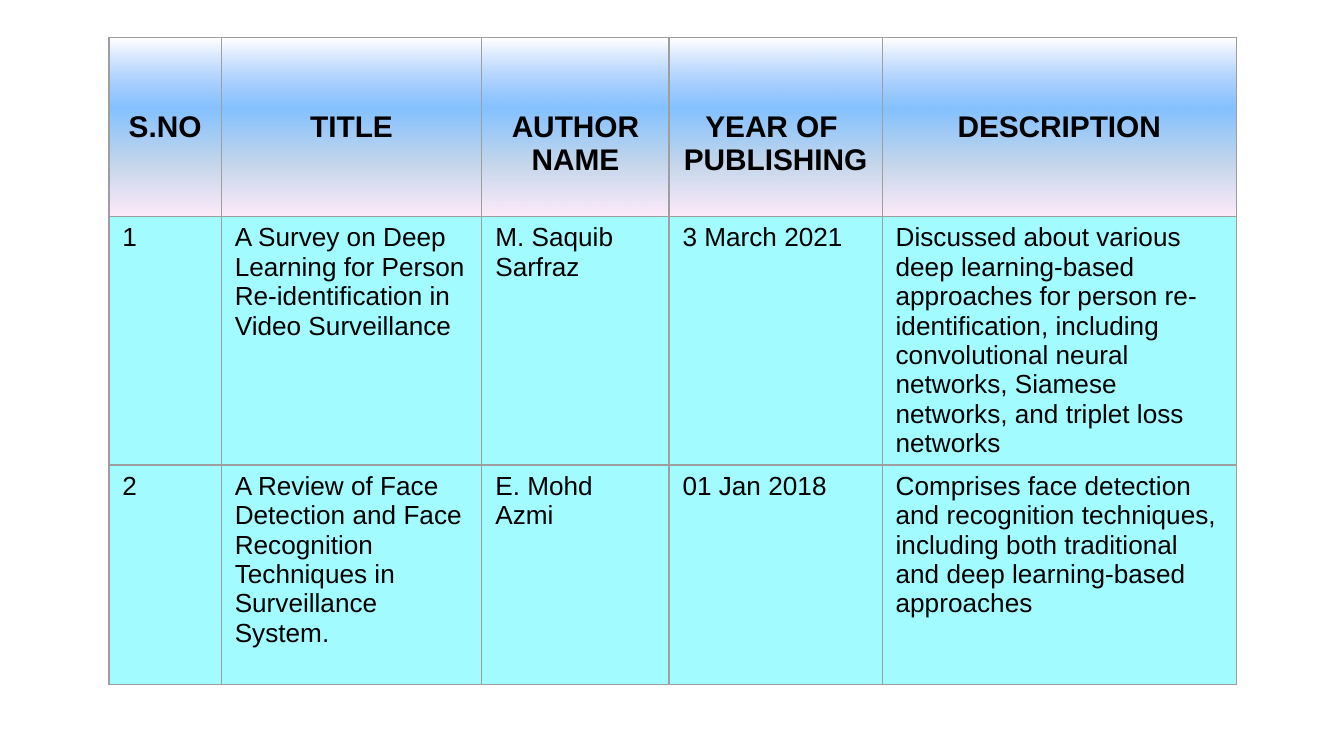
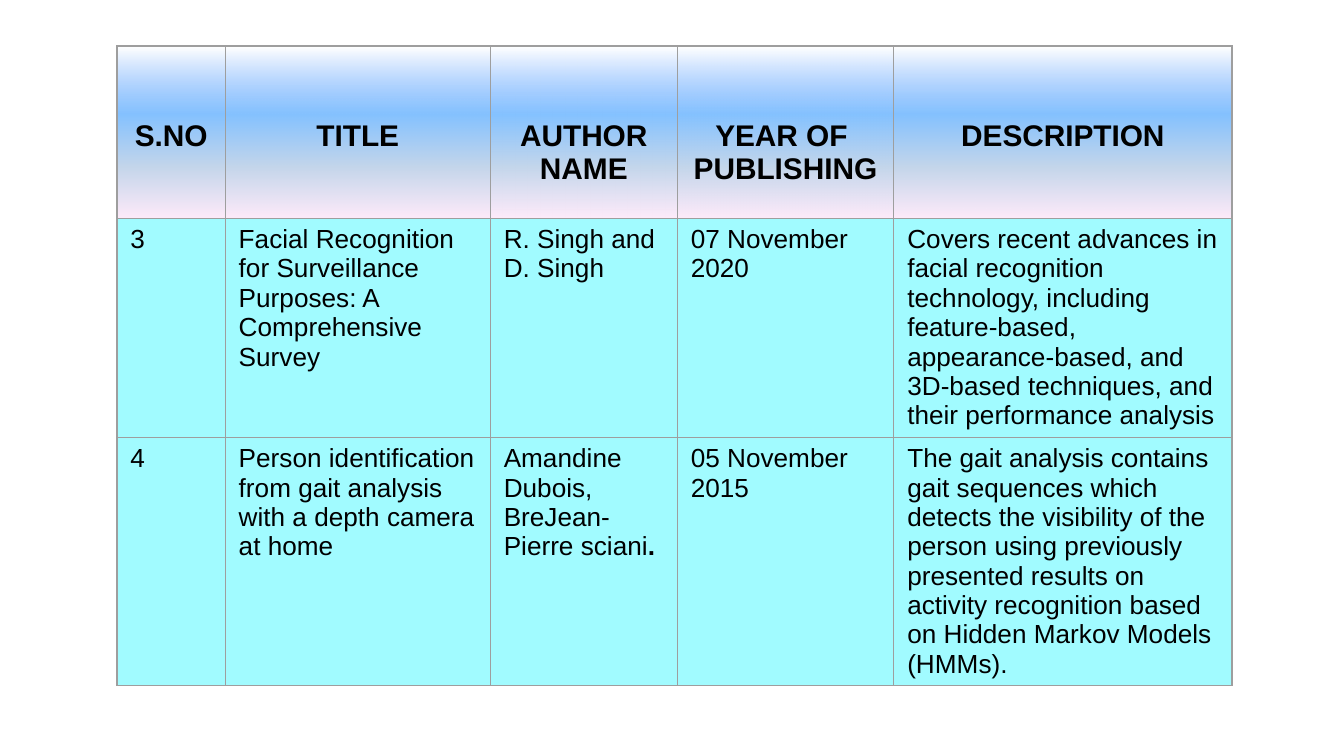
from dataclasses import dataclass

from lxml.etree import SubElement
from pptx import Presentation
from pptx.dml.color import RGBColor
from pptx.enum.text import MSO_ANCHOR, PP_ALIGN
from pptx.oxml.ns import qn
from pptx.util import Pt

COLORS = {
    "text": "000000",
    "border": "9E9E9E",
    "body": "4CF8FF",
    "sky": "5E9EFF",
    "blue": "85C2FF",
    "mist": "C4D6EB",
    "pink": "FFEBFA",
}
FONT = "Arial"
HEADER_STOPS = ((1, "sky", 0), (40, "blue", 100), (70, "mist", 100), (100, "pink", 100))
BODY_ALPHA = 52
BORDER_WIDTH = 0.75


@dataclass(frozen=True)
class Run:
    text: str
    bold: bool = False


@dataclass(frozen=True)
class CellStyle:
    size: float
    bold: bool
    align: PP_ALIGN
    margin_top: float
    header: bool


@dataclass(frozen=True)
class PaperTable:
    left: float
    top: float
    cols: tuple
    rows: tuple
    papers: tuple


HEADER = CellStyle(16, True, PP_ALIGN.CENTER, 39.35, True)
BODY = CellStyle(14, False, PP_ALIGN.LEFT, 3.6, False)
HEADINGS = ("S.NO", "TITLE", "AUTHOR NAME", ("YEAR OF ", "PUBLISHING"), "DESCRIPTION")

TABLES = (
    PaperTable(58.4, 20, (60.2, 139.6, 100.3, 114.2, 189.8), (96, 133, 117.6), (
        ("1",
         "A Survey on Deep Learning for Person Re-identification in Video Surveillance",
         "M. Saquib Sarfraz",
         "3 March 2021",
         "Discussed about various deep learning-based approaches for person "
         "re-identification, including convolutional neural networks, Siamese "
         "networks, and triplet loss networks"),
        ("2",
         "A Review of Face Detection and Face Recognition Techniques in "
         "Surveillance System.",
         "E. Mohd Azmi",
         "01 Jan 2018",
         "Comprises face detection and recognition techniques, including both "
         "traditional and deep learning-based approaches"),
    )),
    PaperTable(62.7, 24.7, (58, 142, 100.2, 116, 181.2), (92.2, 117.4, 133), (
        ("3",
         "Facial Recognition for Surveillance Purposes: A Comprehensive Survey",
         "R. Singh and D. Singh",
         "07 November 2020",
         "Covers recent advances in facial recognition technology, including "
         "feature-based, appearance-based, and 3D-based techniques, and their "
         "performance analysis"),
        ("4",
         "Person identification from gait analysis with a depth camera at home",
         ("Amandine Dubois,", (Run("BreJean-Pierre sciani"), Run(".", True))),
         "05 November 2015",
         "The gait analysis contains gait sequences which detects the visibility "
         "of the person using previously presented results on activity "
         "recognition based on Hidden Markov Models (HMMs)."),
    )),
)


def add_color(parent, name: str, alpha: int = 100) -> None:
    clr = SubElement(parent, qn("a:srgbClr"), val=COLORS[name])
    if alpha < 100:
        SubElement(clr, qn("a:alpha"), val=str(alpha * 1000))


def add_borders(tc_pr) -> None:
    for side in ("lnL", "lnR", "lnT", "lnB"):
        ln = SubElement(tc_pr, qn(f"a:{side}"), w=str(Pt(BORDER_WIDTH)))
        add_color(SubElement(ln, qn("a:solidFill")), "border")


def add_fill(tc_pr, header: bool) -> None:
    if not header:
        add_color(SubElement(tc_pr, qn("a:solidFill")), "body", BODY_ALPHA)
        return
    grad = SubElement(tc_pr, qn("a:gradFill"), rotWithShape="1")
    stops = SubElement(grad, qn("a:gsLst"))
    for pos, name, alpha in HEADER_STOPS:
        add_color(SubElement(stops, qn("a:gs"), pos=str(pos * 1000)), name, alpha)
    SubElement(grad, qn("a:lin"), ang="5400000", scaled="0")


def write_cell(cell, content, style: CellStyle) -> None:
    layout = {
        "margin_left": Pt(7.2),
        "margin_right": Pt(7.2),
        "margin_top": Pt(style.margin_top),
        "margin_bottom": Pt(3.6),
        "vertical_anchor": MSO_ANCHOR.TOP,
    }
    for name, value in layout.items():
        setattr(cell, name, value)
    tf = cell.text_frame
    paragraphs = (content,) if isinstance(content, str) else content
    for i, line in enumerate(paragraphs):
        p = tf.add_paragraph() if i else tf.paragraphs[0]
        p.alignment = style.align
        for run in (Run(line),) if isinstance(line, str) else line:
            r = p.add_run()
            r.text = run.text
            font = {"name": FONT, "size": Pt(style.size), "bold": style.bold or run.bold}
            for name, value in font.items():
                setattr(r.font, name, value)
            r.font.color.rgb = RGBColor.from_string(COLORS["text"])
    tc_pr = cell._tc.get_or_add_tcPr()
    add_borders(tc_pr)
    add_fill(tc_pr, style.header)


def add_paper_table(s, spec_table: PaperTable) -> None:
    t = spec_table
    table = s.shapes.add_table(
        len(t.rows), len(t.cols), Pt(t.left), Pt(t.top), Pt(sum(t.cols)), Pt(sum(t.rows))
    ).table
    for name in ("first_row", "horz_banding"):
        setattr(table, name, False)
    for col, width in zip(table.columns, t.cols):
        col.width = Pt(width)
    for row, height in zip(table.rows, t.rows):
        row.height = Pt(height)
    for i, texts in enumerate((HEADINGS, *t.papers)):
        for j, content in enumerate(texts):
            write_cell(table.cell(i, j), content, BODY if i else HEADER)


def main() -> None:
    prs = Presentation()
    prs.slide_width, prs.slide_height = Pt(720), Pt(405)
    for paper_table in TABLES:
        s = prs.slides.add_slide(prs.slide_layouts[6])
        add_paper_table(s, paper_table)
    prs.save("out.pptx")


if __name__ == "__main__":
    main()
